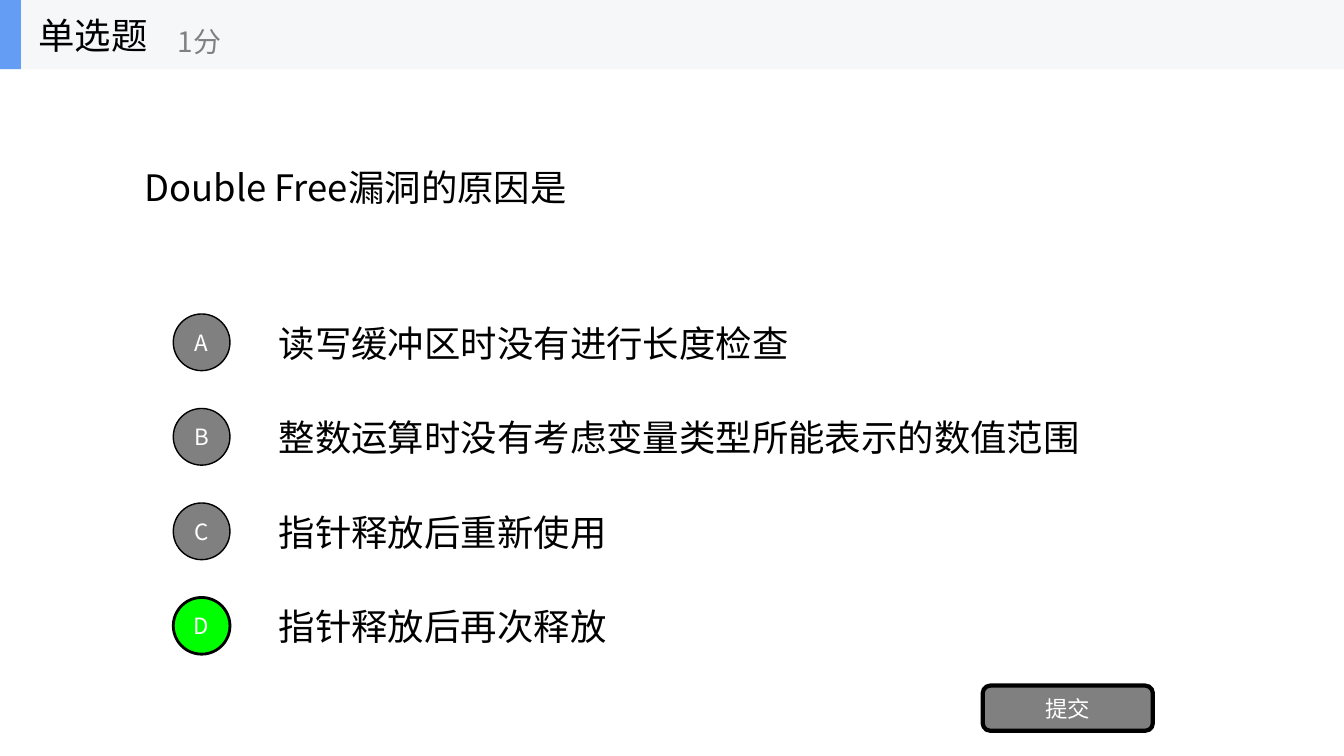
import pptx
import pptx.dml.color
import pptx.enum.lang
import pptx.enum.shapes
import pptx.enum.text
import pptx.oxml.ns
import pptx.util
from lxml import etree

PX = 9525  # EMU per px, 96 px to the inch
FONT = "Noto Sans CJK SC"
COLORS = {
    "black": "000000",
    "white": "FFFFFF",
    "gray": "808080",
    "green": "00FF00",
    "band": "F6F7F8",
    "accent": "639EF4",
}
SHAPE = pptx.enum.shapes.MSO_SHAPE
ALIGN = pptx.enum.text.PP_ALIGN


def rgb(name):
    return pptx.dml.color.RGBColor.from_string(COLORS[name])


class QuizSlide:
    """Holds the style and the current slide."""

    def __init__(self, prs):
        self.s = prs.slides.add_slide(prs.slide_layouts[6])

    def fill_text(self, sp, text, size, color, align, wrap=True):
        tf = sp.text_frame
        frame = {
            "word_wrap": wrap,
            "vertical_anchor": pptx.enum.text.MSO_ANCHOR.MIDDLE,
        }
        for key, value in frame.items():
            setattr(tf, key, value)
        p = tf.paragraphs[0]
        p.alignment = align
        r = p.add_run()
        r.text = text
        font = {
            "name": FONT,
            "size": pptx.util.Pt(size),
            "language_id": pptx.enum.lang.MSO_LANGUAGE_ID.SIMPLIFIED_CHINESE,
        }
        for key, value in font.items():
            setattr(r.font, key, value)
        r.font.color.rgb = rgb(color)
        # East Asian glyphs use the same typeface
        ea = etree.SubElement(r._r.get_or_add_rPr(), pptx.oxml.ns.qn("a:ea"))
        ea.set("typeface", FONT)

    def text(self, box, text, size=26, color="black", wrap=True):
        sp = self.s.shapes.add_textbox(*(v * PX for v in box))
        self.fill_text(sp, text, size, color, ALIGN.LEFT, wrap)

    def shape(self, kind, box, fill, line=0, text=None):
        sp = self.s.shapes.add_shape(kind, *(v * PX for v in box))
        sp.shadow.inherit = False
        sp.fill.solid()
        sp.fill.fore_color.rgb = rgb(fill)
        if line:
            sp.line.color.rgb = rgb("black")
            sp.line.width = pptx.util.Pt(line)
        else:
            sp.line.fill.background()
        if text:
            for side in ("left", "right", "top", "bottom"):
                setattr(sp.text_frame, "margin_" + side, 0)
            self.fill_text(sp, text, 16, "white", ALIGN.CENTER)


def main():
    prs = pptx.Presentation()
    prs.slide_width, prs.slide_height = 1280 * PX, 720 * PX
    quiz = QuizSlide(prs)

    # Question
    quiz.text((128, 66, 1024, 225), "Double Free漏洞的原因是")

    # Answers, with the correct one highlighted
    answers = {
        "A": "读写缓冲区时没有进行长度检查",
        "B": "整数运算时没有考虑变量类型所能表示的数值范围",
        "C": "指针释放后重新使用",
        "D": "指针释放后再次释放",
    }
    correct = "D"
    for i, (letter, answer) in enumerate(answers.items()):
        top = 293 + 90 * i
        fill, line = ("green", 2) if letter == correct else ("gray", 1)
        quiz.text((256, top, 896, 67), answer)
        quiz.shape(SHAPE.OVAL, (165, top + 6, 54, 54), fill, line, letter)

    # Submit button
    quiz.shape(SHAPE.ROUNDED_RECTANGLE, (936, 653, 162, 43), "gray", 3, "提交")

    # Header band with question type and score
    quiz.shape(SHAPE.RECTANGLE, (0, 0, 1280, 66), "band")
    quiz.shape(SHAPE.RECTANGLE, (0, 0, 20, 66), "accent")
    quiz.text((27, 0, 200, 66), "单选题", wrap=False)
    quiz.text((160, 12, 240, 54), "1分", 20, "gray", wrap=False)

    prs.save("out.pptx")


if __name__ == "__main__":
    main()
